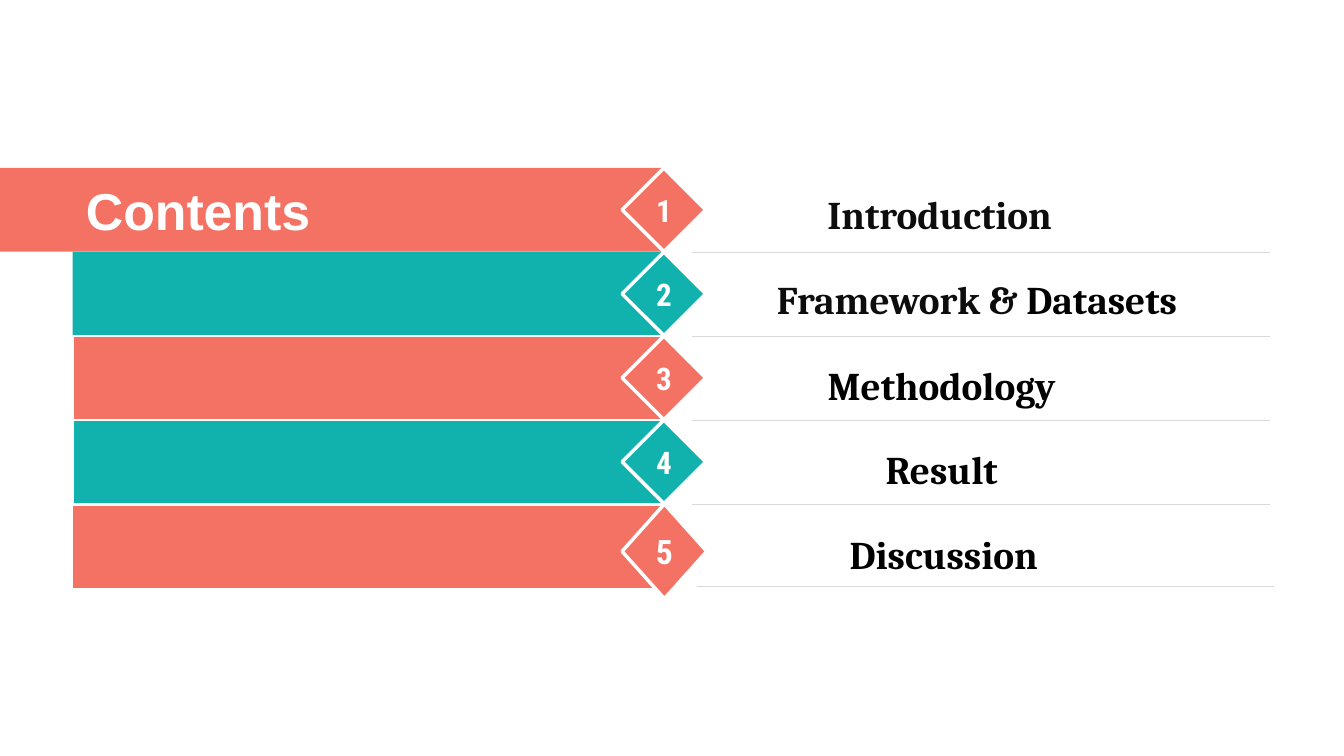
from dataclasses import dataclass

from lxml import etree
from pptx import Presentation
from pptx.dml.color import RGBColor
from pptx.enum.shapes import MSO_CONNECTOR as CONN, MSO_SHAPE as SHAPE
from pptx.enum.text import MSO_ANCHOR as ANCHOR, PP_ALIGN as ALIGN
from pptx.oxml.ns import qn
from pptx.util import Inches, Pt

CORAL, TEAL, WHITE, BLACK, INK, GREY = "F47264", "11B2AE", "FFFFFF", "000000", "0D0D0D", "D9D9D9"


@dataclass
class Box:
    x: float
    y: float
    w: float
    h: float


@dataclass
class Row:
    words: list[tuple[str, str]]
    fill: str
    bar: Box
    bar_line: float
    diamond: Box
    digit_size: float
    label: Box
    spacing: float
    rule: tuple[float, float, float]


def rgb(color: str) -> RGBColor:
    return RGBColor.from_string(color)


def add_box(s, shape: SHAPE, box: Box, fill: str, line: float = 0):
    sp = s.shapes.add_shape(shape, Inches(box.x), Inches(box.y), Inches(box.w), Inches(box.h))
    sp.shadow.inherit = False
    sp.fill.solid()
    sp.fill.fore_color.rgb = rgb(fill)
    if line:
        sp.line.color.rgb = rgb(WHITE)
        sp.line.width = Pt(line)
    else:
        sp.line.fill.background()
    return sp


def write(sp, words: list[tuple[str, str]], font: str, size: float, spacing: float = 1) -> None:
    tf = sp.text_frame
    tf.word_wrap = False
    tf.vertical_anchor = ANCHOR.MIDDLE
    p = tf.paragraphs[0]
    p.alignment = ALIGN.CENTER
    p.line_spacing = spacing
    p.font.name = font
    p.font.size = Pt(size)
    p.font.bold = True
    for text, color in words:
        r = p.add_run()
        r.text = text
        r.font.color.rgb = rgb(color)


def add_rule(s, x1: float, x2: float, y: float) -> None:
    ln = s.shapes.add_connector(CONN.STRAIGHT, Inches(x1), Inches(y), Inches(x2), Inches(y))
    ln.line.color.rgb = rgb(GREY)
    ln.line.width = Pt(0.25)
    etree.SubElement(ln._element.spPr, qn("a:effectLst"))


def build_rows() -> list[Row]:
    pitch, height = 5 / 6, 0.83
    entries = [
        ([("Introduction", INK)], Box(7.19, 1.73, 4.26, 0.65), 1.3),
        ([("Framework & ", INK), ("Datasets", BLACK)], Box(7.19, 2.59, 5, 0.65), 1.2),
        ([("Methodology", BLACK)], Box(7.01, 3.42, 4.66, 0.65), 1.3),
        ([("Result", BLACK)], Box(7.01, 4.26, 4.66, 0.65), 1.3),
        ([("Discussion", BLACK)], Box(7.03, 5.1, 4.66, 0.65), 1.3),
    ]
    rows = []
    for i, (words, label, spacing) in enumerate(entries):
        y = (i + 2) * pitch
        left = 0 if i == 0 else 0.72
        rows.append(Row(words, (CORAL, TEAL)[i % 2], Box(left, y, 6.59 - left, height),
                        0 if i < 2 else 1.5, Box(6.17, y, 0.83, height), 22.2,
                        label, spacing, (6.86, 12.6, y + pitch)))
    last = rows[-1]
    last.bar = Box(0.71, 5.01, 5.87, height)
    last.diamond = Box(6.17, 5, 0.84, 0.94)
    last.digit_size = 24
    last.rule = (6.91, 12.64, 5.82)
    return rows


def main() -> None:
    prs = Presentation()
    prs.slide_width, prs.slide_height = Inches(13.33), Inches(7.5)
    s = prs.slides.add_slide(prs.slide_layouts[6])
    rows = build_rows()
    for row in rows:
        add_box(s, SHAPE.RECTANGLE, row.bar, row.fill, row.bar_line)
    for number, row in enumerate(rows, 1):
        sp = add_box(s, SHAPE.DIAMOND, row.diamond, row.fill, 2.5)
        write(sp, [(str(number), WHITE)], "Roboto Condensed", row.digit_size)
    for row in rows:
        sp = add_box(s, SHAPE.RECTANGLE, row.label, WHITE)
        write(sp, row.words, "Cambria", 28, row.spacing)
    title = s.shapes.add_textbox(Inches(0.71), Inches(1.67), Inches(2.51), Inches(0.83))
    write(title, [("Contents", WHITE)], "Arial", 37)
    for row in rows:
        add_rule(s, *row.rule)
    prs.save("out.pptx")


if __name__ == "__main__":
    main()
